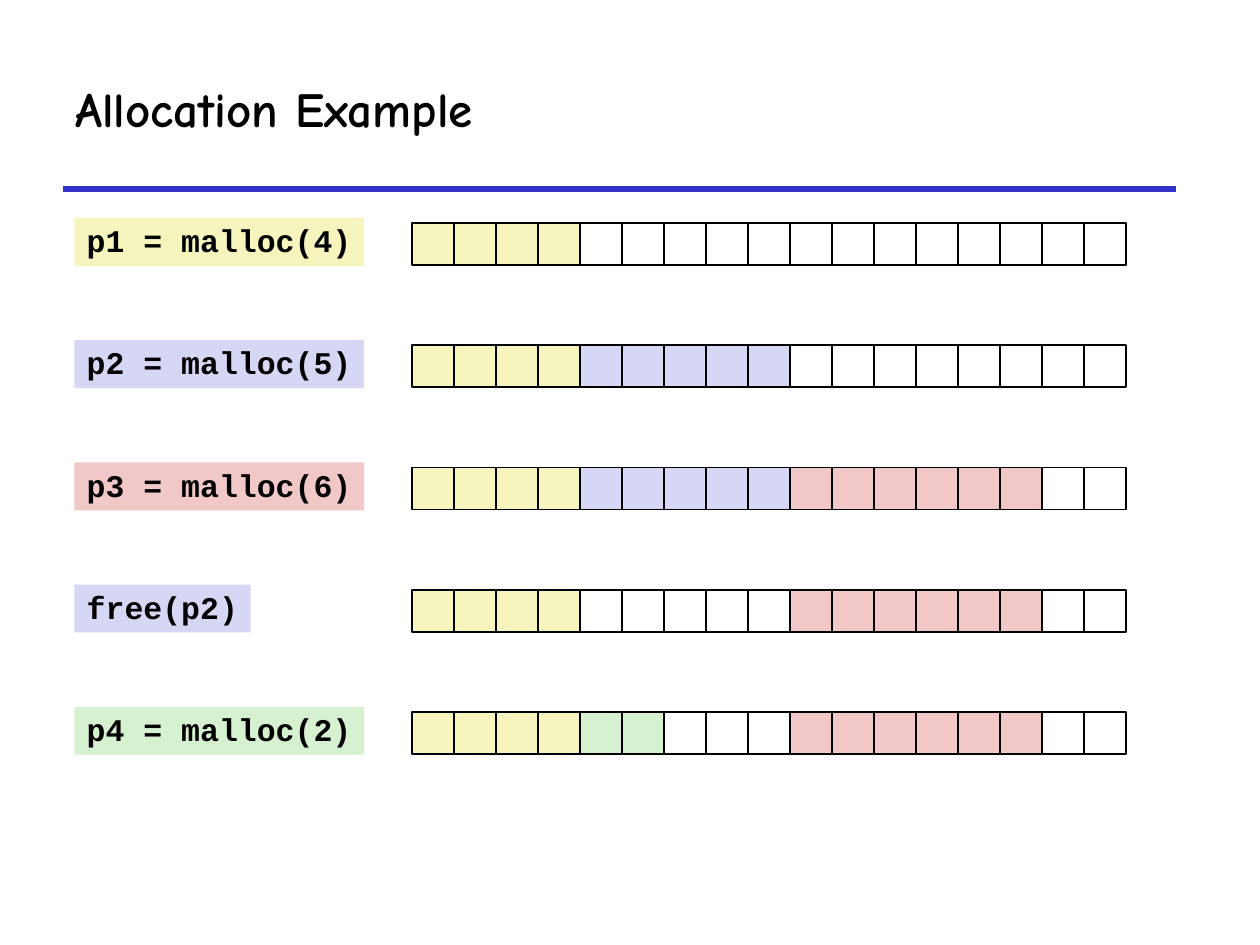
"""Build the slide that shows heap blocks after each allocation step."""
from dataclasses import dataclass

from lxml.etree import SubElement
from pptx import Presentation
from pptx.dml.color import RGBColor
from pptx.enum.shapes import MSO_CONNECTOR, MSO_SHAPE
from pptx.enum.text import MSO_ANCHOR, MSO_AUTO_SIZE, PP_ALIGN
from pptx.oxml.ns import qn
from pptx.slide import Slide
from pptx.util import Inches, Pt

BLACK = RGBColor(0x00, 0x00, 0x00)
WHITE = RGBColor(0xFF, 0xFF, 0xFF)
RULE_BLUE = RGBColor(0x33, 0x33, 0xCC)
YELLOW = RGBColor(0xF6, 0xF5, 0xBD)
LILAC = RGBColor(0xD6, 0xD6, 0xF5)
PINK = RGBColor(0xF1, 0xC7, 0xC7)
GREEN = RGBColor(0xD5, 0xF1, 0xCF)

CELL = 1 / 3
HEAP_LEFT = 3.27
LABEL_LEFT = 0.59
LABEL_HEIGHT = 0.38
FIRST_TOP = 1.73
ROW_PITCH = 0.97


@dataclass(frozen=True)
class Step:
    call: str
    color: RGBColor
    width: float
    blocks: tuple[tuple[RGBColor, int], ...]


STEPS = (
    Step("p1 = malloc(4)", YELLOW, 2.3, ((YELLOW, 4), (WHITE, 13))),
    Step("p2 = malloc(5)", LILAC, 2.3, ((YELLOW, 4), (LILAC, 5), (WHITE, 8))),
    Step("p3 = malloc(6)", PINK, 2.3,
         ((YELLOW, 4), (LILAC, 5), (PINK, 6), (WHITE, 2))),
    Step("free(p2)", LILAC, 1.4,
         ((YELLOW, 4), (WHITE, 5), (PINK, 6), (WHITE, 2))),
    Step("p4 = malloc(2)", GREEN, 2.3,
         ((YELLOW, 4), (GREEN, 2), (WHITE, 3), (PINK, 6), (WHITE, 2))),
)


def add_title(s: Slide, text: str) -> None:
    """Add the slide title and the rule below it."""
    sp = s.shapes.add_textbox(Inches(0.5), Inches(0.54), Inches(7.07), Inches(0.63))
    tf = sp.text_frame
    tf.word_wrap = True
    tf.vertical_anchor = MSO_ANCHOR.MIDDLE
    p = tf.paragraphs[0]
    p.text = text
    p.font.name, p.font.size, p.font.bold = "Comic Neue", Pt(28), True
    p.font.color.rgb = BLACK
    rule = s.shapes.add_connector(
        MSO_CONNECTOR.STRAIGHT, Inches(0.5), Inches(1.5), Inches(9.33), Inches(1.5))
    rule.line.color.rgb = RULE_BLUE
    rule.line.width = Pt(3)
    SubElement(rule._element.spPr, qn("a:effectLst"))


def add_heap(s: Slide, step: Step, top: float) -> None:
    """Add one grouped row of heap cells."""
    heap = s.shapes.add_group_shape()
    colors = [color for color, count in step.blocks for _ in range(count)]
    for i, color in enumerate(colors):
        sp = heap.shapes.add_shape(
            MSO_SHAPE.RECTANGLE, Inches(HEAP_LEFT + i * CELL), Inches(top),
            Inches(CELL), Inches(CELL))
        sp.shadow.inherit = False
        sp.fill.solid()
        sp.fill.fore_color.rgb = color
        sp.line.color.rgb = BLACK
        sp.line.width = Pt(1)


def add_label(s: Slide, step: Step, top: float) -> None:
    """Add the coloured box that holds the call."""
    sp = s.shapes.add_shape(
        MSO_SHAPE.RECTANGLE, Inches(LABEL_LEFT), Inches(top),
        Inches(step.width), Inches(LABEL_HEIGHT))
    sp.shadow.inherit = False
    sp.fill.solid()
    sp.fill.fore_color.rgb = step.color
    sp.line.fill.background()
    tf = sp.text_frame
    tf.word_wrap = False
    tf.auto_size = MSO_AUTO_SIZE.SHAPE_TO_FIT_TEXT
    tf.vertical_anchor = MSO_ANCHOR.TOP
    p = tf.paragraphs[0]
    p.text = step.call
    p.alignment = PP_ALIGN.LEFT
    p.line_spacing = 0.94
    p.font.name, p.font.size, p.font.bold = "Courier New", Pt(18), True
    p.font.color.rgb = BLACK


def main() -> None:
    """Build and save the slide."""
    prs = Presentation()
    prs.slide_width, prs.slide_height = Inches(10), Inches(7.5)
    s = prs.slides.add_slide(prs.slide_layouts[6])
    add_title(s, "Allocation Example")
    for i, step in enumerate(STEPS):
        top = FIRST_TOP + i * ROW_PITCH
        add_heap(s, step, top + 0.04)
        add_label(s, step, top)
    prs.save("out.pptx")


if __name__ == "__main__":
    main()
